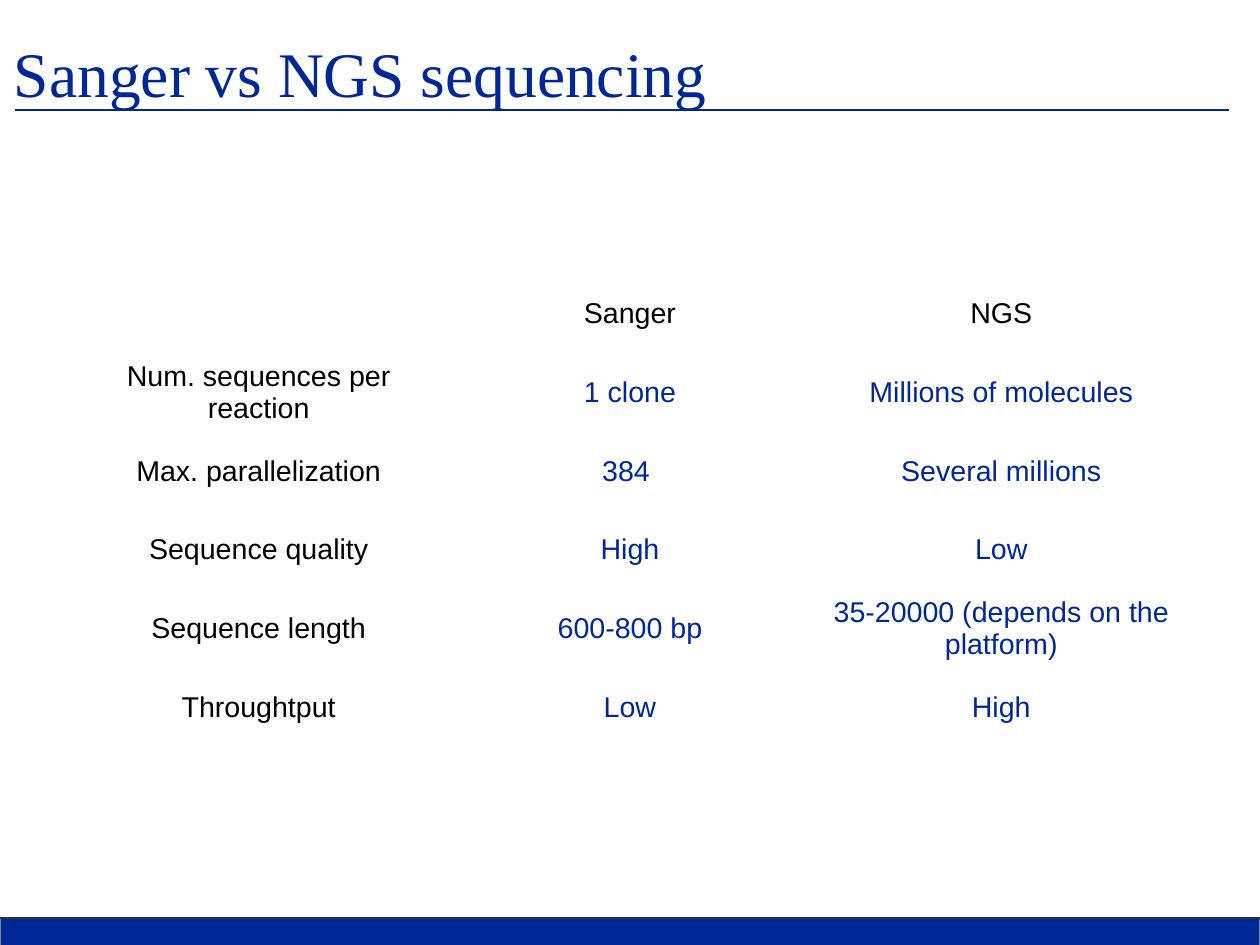
"""Build the slide comparing Sanger and NGS sequencing."""
from pptx import Presentation
from pptx import util as u
from pptx.dml.color import RGBColor
from pptx.enum import shapes, text
from pptx.oxml.ns import qn
from lxml import etree

PX = 8000
BLUE = RGBColor(0x00, 0x27, 0x98)
BLACK = RGBColor(0x00, 0x00, 0x00)
DARK = RGBColor(0x2E, 0x34, 0x36)
GREY = RGBColor(0x88, 0x8A, 0x85)

COMPARISON = [
    ("", "Sanger", "NGS"),
    ("Num. sequences per reaction", "1 clone", "Millions of molecules"),
    ("Max. parallelization", "384 ", "Several millions"),
    ("Sequence quality", "High", "Low"),
    ("Sequence length", "600-800 bp", "35-20000 (depends on the platform)"),
    ("Throughtput", "Low", "High"),
]


def px(*lengths):
    """Turn pixel lengths into EMU."""
    return [u.Emu(length * PX) for length in lengths]


def set_font(para, name, size, color):
    """Set the font of a whole paragraph."""
    para.font.name = name
    para.font.size = u.Pt(size)
    para.font.color.rgb = color


def add_bar(page, left, top, width, height):
    """Add the filled footer bar."""
    bar = page.shapes.add_shape(shapes.MSO_SHAPE.RECTANGLE, *px(left, top, width, height))
    bar.shadow.inherit = False
    bar.fill.solid()
    bar.fill.fore_color.rgb = BLUE
    bar.line.color.rgb = GREY
    bar.line.width = u.Pt(0)


def add_rule(page, left, right, y, color):
    """Add a horizontal line without a shadow."""
    rule = page.shapes.add_connector(shapes.MSO_CONNECTOR.STRAIGHT, *px(left, y, right, y))
    rule.line.color.rgb = color
    rule.line.width = u.Pt(1.42)
    etree.SubElement(rule._element.spPr, qn("a:effectLst"))


def add_title(page, title, left, top, width, height):
    """Add the slide title, centred vertically in its box."""
    box = page.shapes.add_textbox(*px(left, top, width, height))
    frame = box.text_frame
    frame.word_wrap = True
    frame.vertical_anchor = text.MSO_ANCHOR.MIDDLE
    frame.margin_left = frame.margin_right = frame.margin_top = frame.margin_bottom = 0
    para = frame.paragraphs[0]
    para.text = title
    set_font(para, "Times New Roman", 40, BLUE)


def fill_cell(cell, label, color, side_margin):
    """Write one centred label into an unfilled cell."""
    cell.fill.background()
    cell.vertical_anchor = text.MSO_ANCHOR.MIDDLE
    cell.margin_left = cell.margin_right = u.Inches(side_margin)
    cell.margin_top = cell.margin_bottom = u.Inches(0.05)
    para = cell.text_frame.paragraphs[0]
    para.text = label
    para.alignment = text.PP_ALIGN.CENTER
    set_font(para, "Arial", 18, color)


def add_comparison(page, rows, left, top, width, height):
    """Add the table, with black headings and blue values."""
    frame = page.shapes.add_table(len(rows), len(rows[0]), *px(left, top, width, height))
    table = frame.table
    table.first_row = table.horz_banding = False
    for r, row in enumerate(rows):
        side_margin = 0.1 if r == len(rows) - 1 else 0.04
        for c, label in enumerate(row):
            color = BLUE if r and c else BLACK
            fill_cell(table.cell(r, c), label, color, side_margin)


def main():
    """Build and save the deck."""
    deck = Presentation()
    deck.slide_width, deck.slide_height = px(1260, 945)
    page = deck.slides.add_slide(deck.slide_layouts[6])
    add_bar(page, 0, 918, 1260, 28)
    add_rule(page, 0, 1260, 918, DARK)
    add_rule(page, 15, 1229, 110, BLUE)
    add_title(page, "Sanger vs NGS sequencing", 14, -7, 1197, 158)
    add_comparison(page, COMPARISON, 73, 275, 1114, 468)
    deck.save("out.pptx")


if __name__ == "__main__":
    main()
